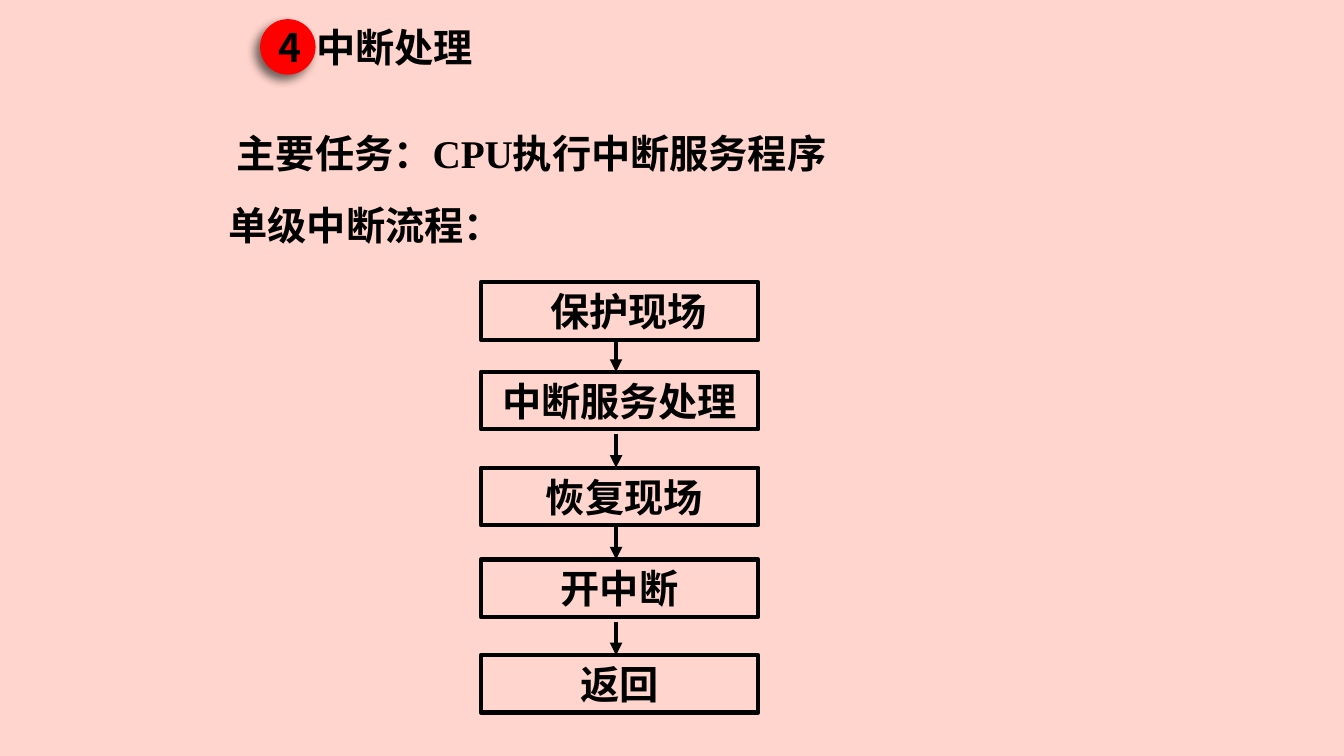
from dataclasses import dataclass

from lxml import etree
from pptx import Presentation
from pptx.dml.color import RGBColor
from pptx.enum import shapes, text
from pptx.oxml import ns
from pptx.util import Inches, Pt


@dataclass(frozen=True)
class Theme:
    """Colours, fonts and sizes of the slide."""
    background: RGBColor = RGBColor.from_string("FFD5CD")
    ink: RGBColor = RGBColor.from_string("000000")
    badge: RGBColor = RGBColor.from_string("FF0000")
    latin: str = "Times New Roman"
    chinese: str = "Noto Sans CJK SC"
    size: Pt = Pt(28)
    line: Pt = Pt(3)


THEME = Theme()
HEADINGS = [
    ("中断处理", 3.04, 0.18, 1.89),
    ("主要任务：CPU执行中断服务程序", 2.25, 1.23, 7.16),
    ("单级中断流程：", 2.17, 1.95, 3.34),
]
STEPS = [
    ("保护现场", 2.8, 0.18),
    ("中断服务处理", 3.69, 0),
    ("恢复现场", 4.64, 0.09),
    ("开中断", 5.55, 0),
    ("返回", 6.5, 0),
]
STEP_LEFT, STEP_WIDTH, ROW_HEIGHT = 4.77, 2.75, 0.57
ARROW_X, ARROW_LENGTH = 6.11, 0.33


def write(box, words, align, font_name=THEME.latin):
    """Put one bold line of text into a box."""
    frame = box.text_frame
    frame.word_wrap = True
    frame.vertical_anchor = text.MSO_ANCHOR.MIDDLE
    para = frame.paragraphs[0]
    para.alignment = align
    span = para.add_run()
    span.text = words
    span.font.name = font_name
    span.font.size = THEME.size
    span.font.bold = True
    span.font.color.rgb = THEME.ink
    east_asian = etree.SubElement(span.font._element, ns.qn("a:ea"))
    east_asian.set("typeface", THEME.chinese)


def add_heading(page, words, left, top, width):
    """Add a left-aligned line of text."""
    box = page.shapes.add_textbox(
        Inches(left), Inches(top), Inches(width), Inches(ROW_HEIGHT))
    write(box, words, text.PP_ALIGN.LEFT)


def add_step(page, words, top, shift):
    """Add one outlined step of the flow."""
    box = page.shapes.add_shape(
        shapes.MSO_SHAPE.RECTANGLE, Inches(STEP_LEFT), Inches(top),
        Inches(STEP_WIDTH), Inches(ROW_HEIGHT))
    box.shadow.inherit = False
    box.fill.background()
    box.line.color.rgb = THEME.ink
    box.line.width = THEME.line
    write(box, words, text.PP_ALIGN.CENTER)
    box.text_frame.margin_left = Inches(0.1 + shift)


def add_arrow(page, end):
    """Add a downward arrow that ends at the given height."""
    arrow = page.shapes.add_connector(
        shapes.MSO_CONNECTOR.STRAIGHT, Inches(ARROW_X),
        Inches(end - ARROW_LENGTH), Inches(ARROW_X), Inches(end))
    arrow.line.color.rgb = THEME.ink
    arrow.line.width = THEME.line
    head = etree.SubElement(arrow.line._get_or_add_ln(), ns.qn("a:tailEnd"))
    head.set("type", "triangle")
    etree.SubElement(arrow._element.spPr, ns.qn("a:effectLst"))


def add_badge(page, number):
    """Add the numbered circle with its soft shadow."""
    badge = page.shapes.add_shape(
        shapes.MSO_SHAPE.OVAL, Inches(2.58), Inches(0.19),
        Inches(0.55), Inches(0.55))
    badge.fill.solid()
    badge.fill.fore_color.rgb = THEME.badge
    badge.line.fill.background()
    badge.shadow.inherit = False
    effects = badge._element.spPr.find(ns.qn("a:effectLst"))
    shadow = etree.SubElement(
        effects, ns.qn("a:outerShdw"), blurRad=str(Pt(7)),
        dist=str(Pt(5)), dir=str(135 * 60000), algn="tr", rotWithShape="0")
    colour = etree.SubElement(shadow, ns.qn("a:srgbClr"), val=str(THEME.ink))
    etree.SubElement(colour, ns.qn("a:alpha"), val="57000")
    write(badge, number, text.PP_ALIGN.CENTER, THEME.chinese)


def main():
    """Build and save the slide."""
    deck = Presentation()
    deck.slide_width, deck.slide_height = Inches(13.33), Inches(7.5)
    page = deck.slides.add_slide(deck.slide_layouts[6])
    page.background.fill.solid()
    page.background.fill.fore_color.rgb = THEME.background
    for heading in HEADINGS:
        add_heading(page, *heading)
    for step in STEPS:
        add_step(page, *step)
    for _, top, _ in STEPS[1:]:
        add_arrow(page, top)
    add_badge(page, "4")
    deck.save("out.pptx")


if __name__ == "__main__":
    main()
